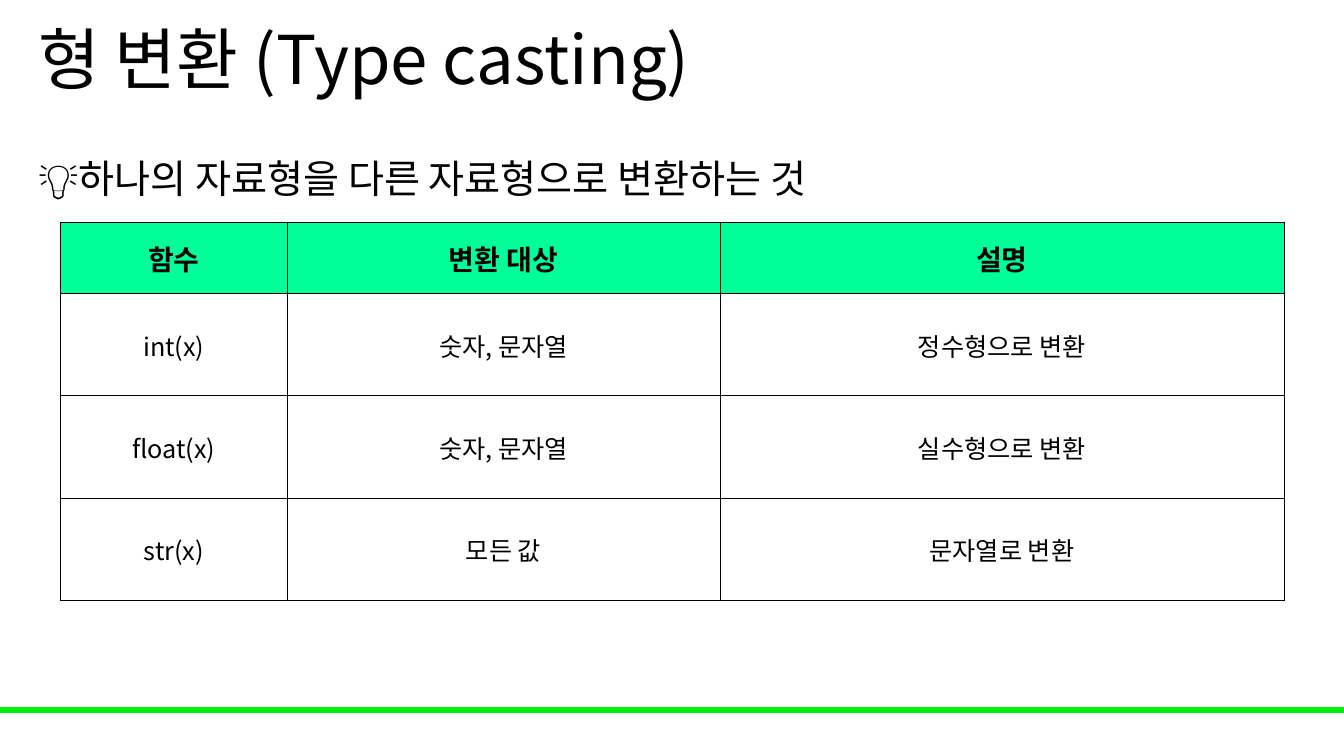
from lxml import etree
from pptx import Presentation
from pptx.dml.color import RGBColor
from pptx.enum.shapes import MSO_SHAPE
from pptx.enum.text import MSO_ANCHOR, PP_ALIGN
from pptx.oxml import parse_xml
from pptx.oxml.ns import nsdecls, qn
from pptx.util import Cm, Pt

RECT = MSO_SHAPE.RECTANGLE
TOP, MIDDLE = MSO_ANCHOR.TOP, MSO_ANCHOR.MIDDLE
LEFT, CENTER = PP_ALIGN.LEFT, PP_ALIGN.CENTER
FONT = "Noto Sans CJK KR"
COLORS = {"text": "000000", "bar": "00F209", "header": "00FF99", "border": "000000"}


def write(tf, text, size, bold=False, align=LEFT, spacing=1.0):
    p = tf.paragraphs[0]
    p.alignment = align
    p.line_spacing = spacing
    r = p.add_run()
    r.text = text
    r.font.name = FONT
    r.font.size = Pt(size)
    r.font.bold = bold
    r.font.color.rgb = RGBColor.from_string(COLORS["text"])
    etree.SubElement(r.font._element, qn("a:ea"), typeface=FONT)


def add_borders(cell):
    tcPr = cell._tc.get_or_add_tcPr()
    for i, side in enumerate(("lnL", "lnR", "lnT", "lnB")):
        tcPr.insert(i, parse_xml(
            f'<a:{side} {nsdecls("a")} w="{Pt(0.5)}"><a:solidFill>'
            f'<a:srgbClr val="{COLORS["border"]}"/></a:solidFill></a:{side}>'))


prs = Presentation()
prs.slide_width, prs.slide_height = Cm(33.87), Cm(19.05)
s = prs.slides.add_slide(prs.slide_layouts[6])

# Bottom bar
bar = s.shapes.add_shape(RECT, 0, Cm(17.83), prs.slide_width, Cm(0.13))
bar.shadow.inherit = False
bar.fill.solid()
bar.fill.fore_color.rgb = RGBColor.from_string(COLORS["bar"])
bar.line.color.rgb = RGBColor.from_string(COLORS["bar"])
bar.line.width = Pt(1)

# Title and definition
texts = [
    ("형 변환 (Type casting)", 0, 29.21, 3.18, 48, MIDDLE, 0.9),
    ("💡하나의 자료형을 다른 자료형으로 변환하는 것", 3.18, 31.98, 1.85, 28, TOP, 1.5),
]
for text, top, width, height, size, anchor, spacing in texts:
    tf = s.shapes.add_textbox(Cm(0.71), Cm(top), Cm(width), Cm(height)).text_frame
    tf.word_wrap = True
    tf.vertical_anchor = anchor
    write(tf, text, size, spacing=spacing)

# Conversion functions
rows = [
    ("함수", "변환 대상", "설명"),
    ("int(x)", "숫자, 문자열", "정수형으로 변환"),
    ("float(x)", "숫자, 문자열", "실수형으로 변환"),
    ("str(x)", "모든 값", "문자열로 변환"),
]
col_widths = [5.72, 10.9, 14.22]
row_heights = [1.8] + [2.58] * 3
table = s.shapes.add_table(len(rows), len(col_widths), Cm(1.52), Cm(5.59),
                           Cm(sum(col_widths)), Cm(sum(row_heights))).table
for column, width in zip(table.columns, col_widths):
    column.width = Cm(width)
for i, (row, height) in enumerate(zip(rows, row_heights)):
    table.rows[i].height = Cm(height)
    header = i == 0
    for j, text in enumerate(row):
        cell = table.cell(i, j)
        cell.vertical_anchor = MIDDLE
        cell.margin_left = cell.margin_right = cell.margin_top = Cm(0.03)
        cell.margin_bottom = 0
        if header:
            cell.fill.solid()
            cell.fill.fore_color.rgb = RGBColor.from_string(COLORS["header"])
        else:
            cell.fill.background()
        add_borders(cell)
        write(cell.text_frame, text, 20 if header else 18, bold=header, align=CENTER)

prs.save("out.pptx")
